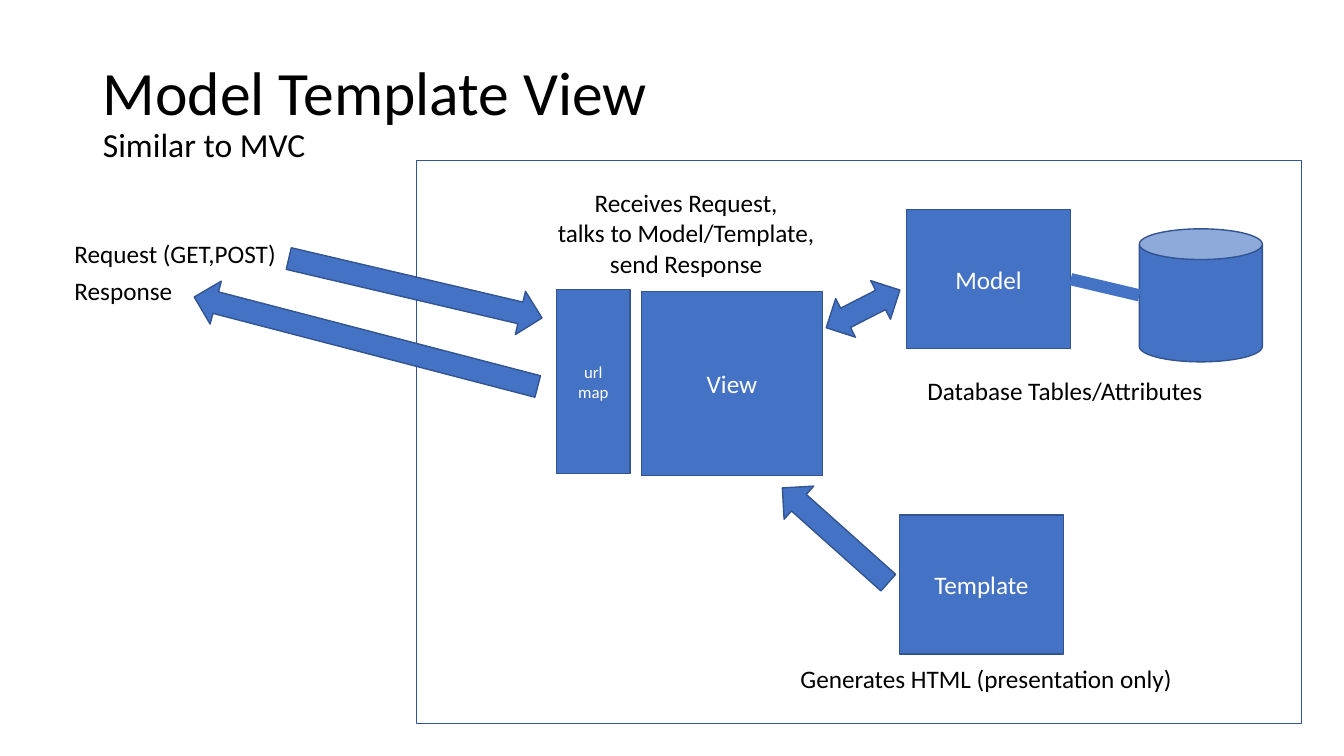
"""Build the Model Template View architecture slide."""
from pptx import Presentation
from pptx.dml.color import RGBColor
from pptx.enum.shapes import MSO_CONNECTOR, MSO_SHAPE
from pptx.enum.text import MSO_ANCHOR, MSO_AUTO_SIZE, PP_ALIGN
from pptx.oxml.ns import qn
from pptx.util import Inches, Pt

BLUE = RGBColor(0x44, 0x72, 0xC4)
OUTLINE = RGBColor(0x32, 0x54, 0x91)
WHITE = RGBColor(0xFF, 0xFF, 0xFF)
BLACK = RGBColor(0x00, 0x00, 0x00)
FONT = "Calibri"


def set_font(paragraph, size, color):
    paragraph.font.name = FONT
    paragraph.font.size = Pt(size)
    paragraph.font.color.rgb = color


def set_title(slide, heading, subtitle):
    title = slide.shapes.title
    title.left, title.top = Inches(0.92), Inches(0.4)
    title.width, title.height = Inches(11.5), Inches(1.45)
    frame = title.text_frame
    frame.auto_size = MSO_AUTO_SIZE.NONE
    frame.word_wrap = True
    frame.vertical_anchor = MSO_ANCHOR.MIDDLE
    paragraph = frame.paragraphs[0]
    paragraph.alignment = PP_ALIGN.LEFT
    paragraph.line_spacing = 0.9
    set_font(paragraph, 44, BLACK)
    paragraph.add_run().text = heading
    paragraph.add_line_break()
    run = paragraph.add_run()
    run.text = subtitle
    run.font.size = Pt(24)


def add_block(slide, kind, left, top, width, height, text="", size=18, rotation=0, fill=BLUE):
    shape = slide.shapes.add_shape(
        kind, Inches(left), Inches(top), Inches(width), Inches(height))
    shape.shadow.inherit = False
    shape.rotation = rotation
    if fill is None:
        shape.fill.background()
    else:
        shape.fill.solid()
        shape.fill.fore_color.rgb = fill
    shape.line.color.rgb = OUTLINE
    shape.line.width = Pt(1)
    if text:
        frame = shape.text_frame
        frame.text = text
        frame.vertical_anchor = MSO_ANCHOR.MIDDLE
        for paragraph in frame.paragraphs:
            paragraph.alignment = PP_ALIGN.CENTER
            set_font(paragraph, size, WHITE)
    return shape


def add_label(slide, left, top, width, height, text, wrap=False, alignment=PP_ALIGN.LEFT):
    box = slide.shapes.add_textbox(
        Inches(left), Inches(top), Inches(width), Inches(height))
    frame = box.text_frame
    frame.word_wrap = wrap
    frame.auto_size = MSO_AUTO_SIZE.SHAPE_TO_FIT_TEXT
    frame.text = text
    paragraph = frame.paragraphs[0]
    paragraph.alignment = alignment
    set_font(paragraph, 18, BLACK)


def add_database_link(slide, model):
    link = slide.shapes.add_connector(
        MSO_CONNECTOR.STRAIGHT, Inches(10.62), Inches(2.77), Inches(11.3), Inches(2.93))
    link.begin_connect(model, 3)
    link.line.color.rgb = BLUE
    link.line.width = Pt(8.75)
    properties = link._element.spPr
    properties.append(properties.makeelement(qn("a:effectLst"), {}))


def main():
    presentation = Presentation()
    presentation.slide_width, presentation.slide_height = Inches(13.33), Inches(7.5)
    slide = presentation.slides.add_slide(presentation.slide_layouts[5])
    rectangle, arrow = MSO_SHAPE.RECTANGLE, MSO_SHAPE.RIGHT_ARROW

    add_block(slide, rectangle, 4.13, 1.59, 8.78, 5.59, fill=None)
    set_title(slide, "Model Template View", "Similar to MVC")

    model = add_block(slide, rectangle, 8.99, 2.08, 1.63, 1.38, "Model")
    add_block(slide, rectangle, 8.92, 5.11, 1.63, 1.38, "Template")
    add_block(slide, rectangle, 6.36, 2.89, 1.8, 1.83, "View")
    add_block(slide, rectangle, 5.52, 2.87, 0.73, 1.83, "url\nmap", size=12)
    add_block(slide, MSO_SHAPE.CAN, 11.3, 2.27, 1.22, 1.32)

    add_block(slide, arrow, 2.83, 2.64, 2.58, 0.44, rotation=13.2)
    add_block(slide, arrow, 7.58, 5.09, 1.41, 0.44, rotation=221.8)
    add_block(slide, arrow, 1.87, 3.17, 3.52, 0.44, rotation=194.6)
    add_block(slide, MSO_SHAPE.LEFT_RIGHT_ARROW, 8.15, 2.85, 0.82, 0.43, rotation=332.9)
    add_database_link(slide, model)

    add_label(slide, 0.64, 2.32, 2.22, 0.4, "Request (GET,POST)")
    add_label(slide, 0.64, 2.68, 1.18, 0.4, "Response")
    add_label(slide, 9.1, 3.67, 3.03, 0.4, "Database Tables/Attributes")
    add_label(slide, 7.84, 6.53, 3.93, 0.4, "Generates HTML (presentation only)")
    add_label(slide, 5.28, 1.81, 3.05, 1.01,
              "Receives Request,\vtalks to Model/Template, send Response",
              wrap=True, alignment=PP_ALIGN.CENTER)

    presentation.save("out.pptx")


if __name__ == "__main__":
    main()
